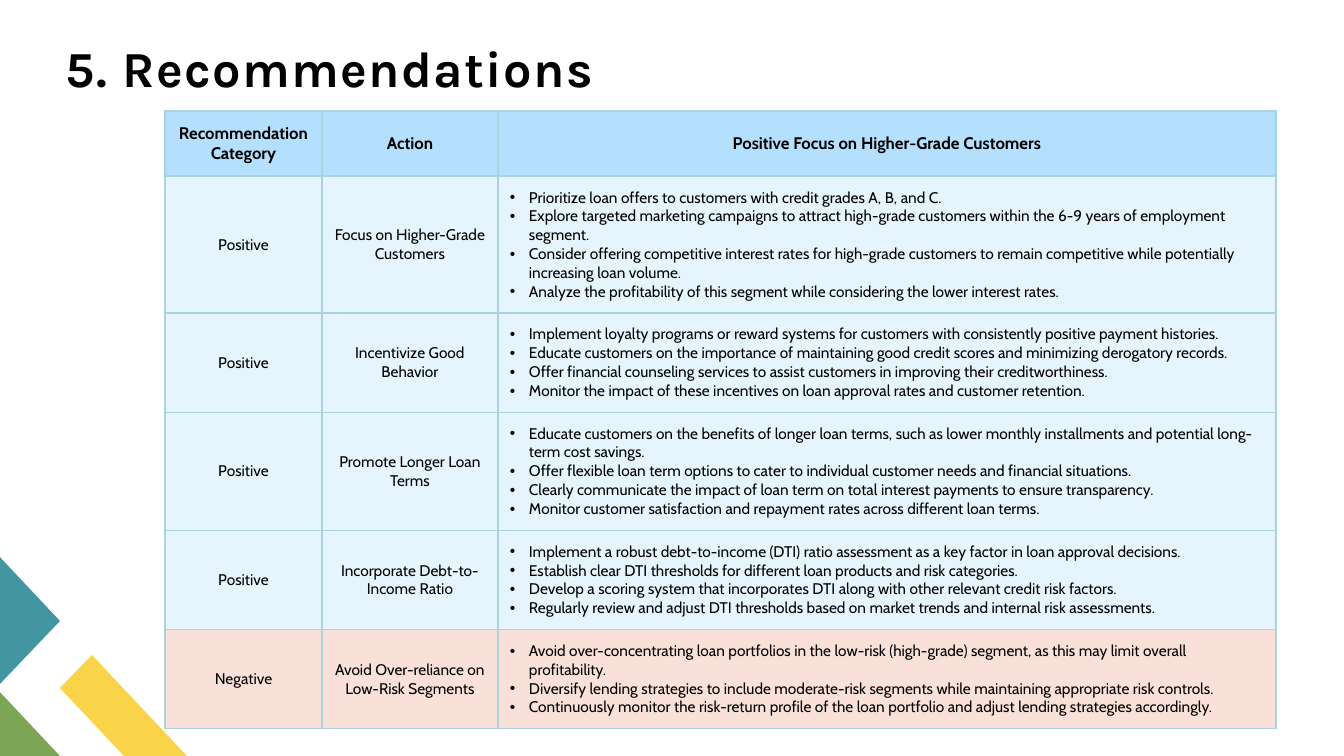
"""Build the loan recommendations slide with its category table."""
from lxml import etree
from pptx import Presentation
from pptx.dml.color import RGBColor
from pptx.enum.text import MSO_ANCHOR, MSO_AUTO_SIZE, PP_ALIGN
from pptx.oxml.ns import qn
from pptx.util import Emu, Pt

BOTTOM, MIDDLE = MSO_ANCHOR.BOTTOM, MSO_ANCHOR.MIDDLE
LEFT, CENTER = PP_ALIGN.LEFT, PP_ALIGN.CENTER
NO_AUTOFIT = MSO_AUTO_SIZE.NONE
EMU_PER_PX = 914400 / 100.8
COLORS = {
    "text": "000000", "border": "A9D4DB", "header": "B5E0FD",
    "Positive": "E6F4FE", "Negative": "F9E1D9",
    "teal": "4495A2", "green": "7CA655", "yellow": "F9D448",
}
HEADINGS = ("Recommendation Category", "Action", "Positive Focus on Higher-Grade Customers")
RECOMMENDATIONS = [
    ("Positive", "Focus on Higher-Grade Customers", [
        "Prioritize loan offers to customers with credit grades A, B, and C.",
        "Explore targeted marketing campaigns to attract high-grade customers within the 6-9 years of employment segment.",
        "Consider offering competitive interest rates for high-grade customers to remain competitive while potentially increasing loan volume.",
        "Analyze the profitability of this segment while considering the lower interest rates.",
    ]),
    ("Positive", "Incentivize Good Behavior", [
        "Implement loyalty programs or reward systems for customers with consistently positive payment histories.",
        "Educate customers on the importance of maintaining good credit scores and minimizing derogatory records.",
        "Offer financial counseling services to assist customers in improving their creditworthiness.",
        "Monitor the impact of these incentives on loan approval rates and customer retention.",
    ]),
    ("Positive", "Promote Longer Loan Terms", [
        "Educate customers on the benefits of longer loan terms, such as lower monthly installments and potential long-term cost savings.",
        "Offer flexible loan term options to cater to individual customer needs and financial situations.",
        "Clearly communicate the impact of loan term on total interest payments to ensure transparency.",
        "Monitor customer satisfaction and repayment rates across different loan terms.",
    ]),
    ("Positive", "Incorporate Debt-to-Income Ratio", [
        "Implement a robust debt-to-income (DTI) ratio assessment as a key factor in loan approval decisions.",
        "Establish clear DTI thresholds for different loan products and risk categories.",
        "Develop a scoring system that incorporates DTI along with other relevant credit risk factors.",
        "Regularly review and adjust DTI thresholds based on market trends and internal risk assessments.",
    ]),
    ("Negative", "Avoid Over-reliance on Low-Risk Segments", [
        "Avoid over-concentrating loan portfolios in the low-risk (high-grade) segment, as this may limit overall profitability.",
        "Diversify lending strategies to include moderate-risk segments while maintaining appropriate risk controls.",
        "Continuously monitor the risk-return profile of the loan portfolio and adjust lending strategies accordingly.",
    ]),
]
CORNER_PIECES = [
    ("yellow", [(187, 756), (124, 756), (60, 688), (92, 655)]),
    ("green", [(60, 756), (-2, 756), (-2, 690)]),
    ("teal", [(-2, 555), (60, 621), (-2, 686)]),
]
COLUMN_WIDTHS = (157, 176, 778)
ROW_HEIGHTS = (63, 132, 97, 114, 97, 97)


def px(length):
    return Emu(round(length * EMU_PER_PX))


def add_run(paragraph, text, font_name, size, bold):
    run = paragraph.add_run()
    run.text = text
    run.font.name = font_name
    run.font.size = Pt(size)
    run.font.bold = bold
    run.font.color.rgb = RGBColor.from_string(COLORS["text"])
    return run


deck = Presentation()
deck.slide_width, deck.slide_height = px(1344), px(756)
slide = deck.slides.add_slide(deck.slide_layouts[5])

for color, corners in CORNER_PIECES:
    outline = slide.shapes.build_freeform(*corners[0], scale=EMU_PER_PX)
    outline.add_line_segments(corners[1:], close=True)
    piece = outline.convert_to_shape()
    piece.shadow.inherit = False
    piece.fill.solid()
    piece.fill.fore_color.rgb = RGBColor.from_string(COLORS[color])
    piece.line.fill.background()

title = slide.shapes.title
title.left, title.top, title.width, title.height = px(66), px(11), px(1198), px(86)
heading = title.text_frame
heading.auto_size = NO_AUTOFIT
heading.word_wrap = True
heading.vertical_anchor = BOTTOM
heading.margin_left = heading.margin_right = heading.margin_top = heading.margin_bottom = 0
heading.paragraphs[0].alignment = LEFT
heading.paragraphs[0].line_spacing = 0.8
title_run = add_run(heading.paragraphs[0], "5. Recommendations", "Karla", 36, True)
title_run.font._element.set("spc", "100")

table = slide.shapes.add_table(
    len(ROW_HEIGHTS), len(COLUMN_WIDTHS), px(165), px(111),
    px(sum(COLUMN_WIDTHS)), px(sum(ROW_HEIGHTS))).table
table.first_row = table.horz_banding = False
for column, width in zip(table.columns, COLUMN_WIDTHS):
    column.width = px(width)
for row, height in zip(table.rows, ROW_HEIGHTS):
    row.height = px(height)

for row_number, entries in enumerate([HEADINGS, *RECOMMENDATIONS]):
    is_header = row_number == 0
    fill_color = COLORS["header" if is_header else entries[0]]
    for column_number, entry in enumerate(entries):
        cell = table.cell(row_number, column_number)
        cell.vertical_anchor = MIDDLE
        cell.margin_left = cell.margin_right = cell.margin_top = cell.margin_bottom = px(12)
        properties = cell._tc.get_or_add_tcPr()
        for side in ("a:lnL", "a:lnR", "a:lnT", "a:lnB"):
            border = etree.SubElement(properties, qn(side), w=str(Pt(1)))
            border_fill = etree.SubElement(border, qn("a:solidFill"))
            etree.SubElement(border_fill, qn("a:srgbClr"), val=COLORS["border"])
        cell.fill.solid()
        cell.fill.fore_color.rgb = RGBColor.from_string(fill_color)

        is_list = isinstance(entry, list)
        for line_number, line in enumerate(entry if is_list else [entry]):
            frame = cell.text_frame
            paragraph = frame.add_paragraph() if line_number else frame.paragraphs[0]
            paragraph.alignment = LEFT if is_list else CENTER
            if is_list:
                settings = paragraph._p.get_or_add_pPr()
                settings.set("marL", str(px(19)))
                settings.set("indent", str(-px(19)))
                etree.SubElement(settings, qn("a:buFont"), typeface="Arial")
                etree.SubElement(settings, qn("a:buChar"), char="•")
            add_run(paragraph, line, "Cabin", 12 if is_header else 11, is_header)

deck.save("out.pptx")
